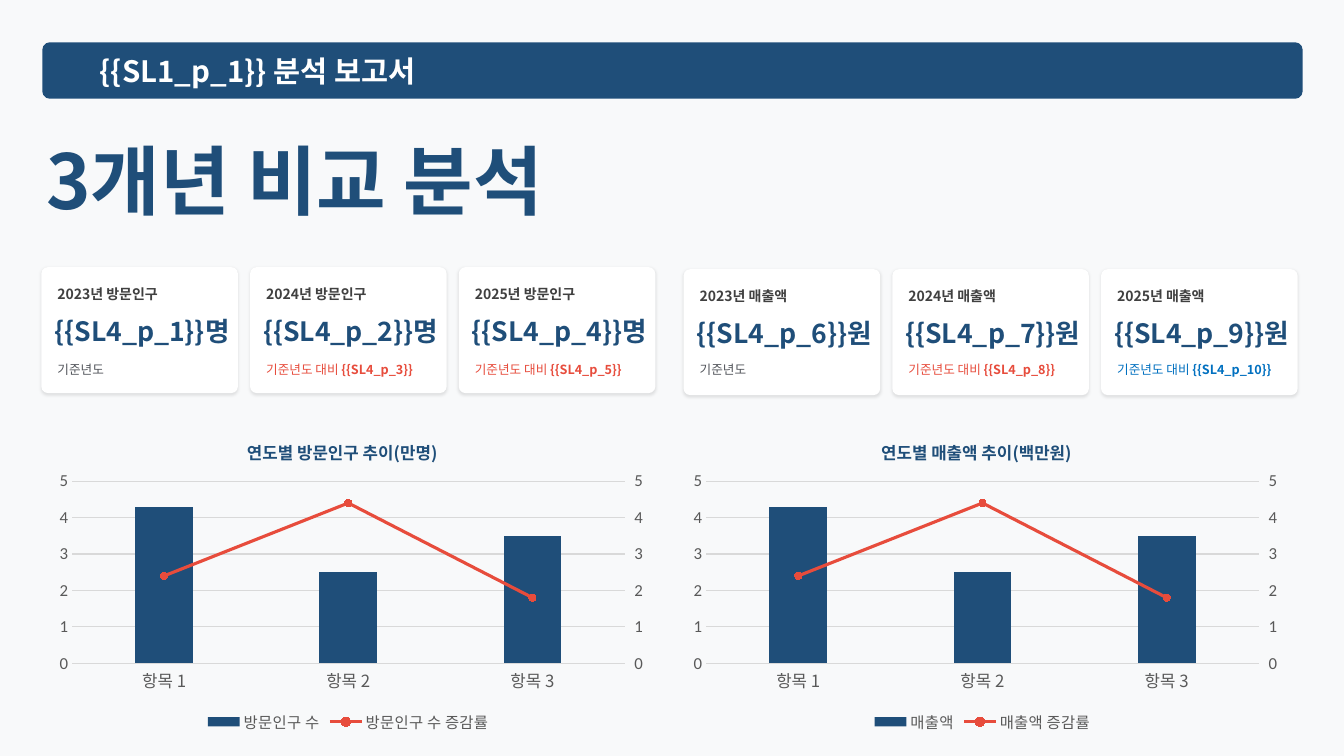
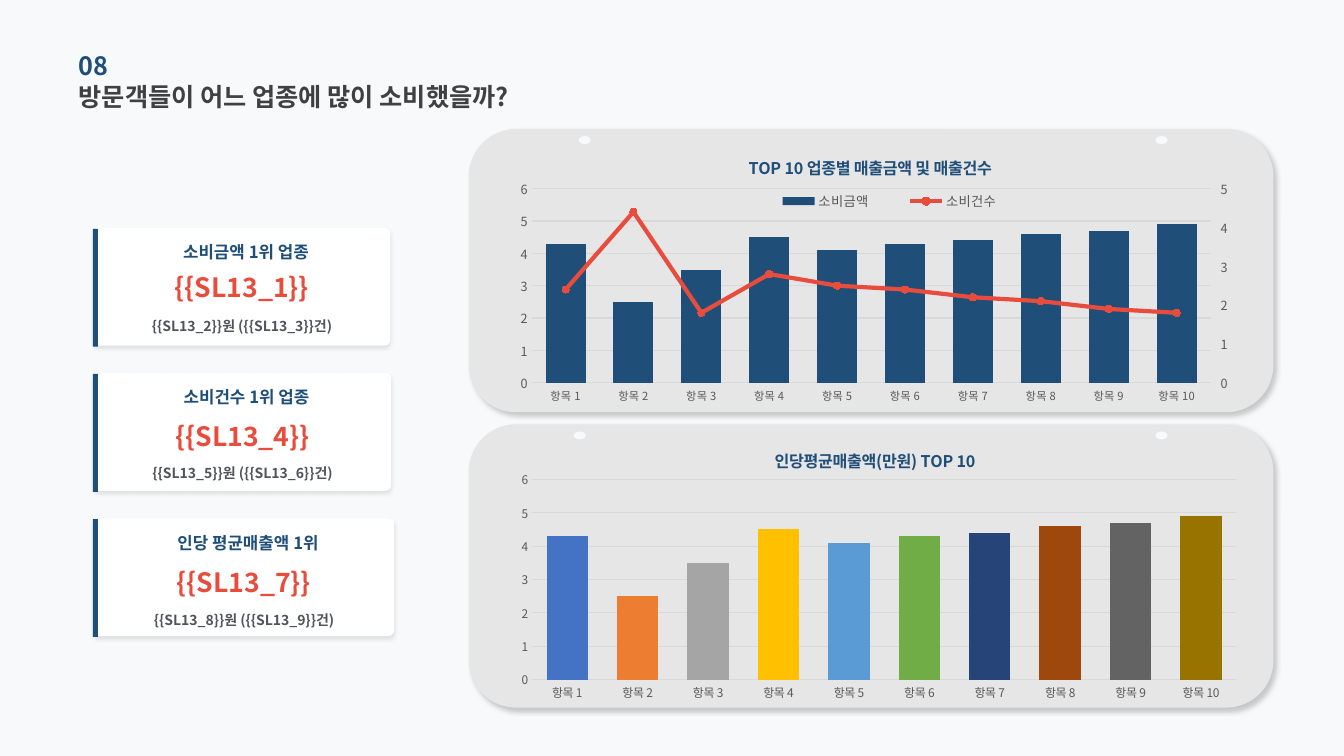
from copy import deepcopy

from pptx import Presentation
from pptx.chart.data import CategoryChartData
from pptx.dml.color import RGBColor
from pptx.enum.chart import XL_CHART_TYPE, XL_LEGEND_POSITION, XL_MARKER_STYLE, XL_TICK_MARK
from pptx.enum.shapes import MSO_SHAPE
from pptx.enum.text import MSO_ANCHOR, PP_ALIGN
from pptx.oxml import parse_xml
from pptx.oxml.ns import nsdecls, qn
from pptx.util import Inches, Pt

COLORS = {
    "page": "F8F9FA", "navy": "1F4E79", "red": "E74C3C", "blue": "0070C0",
    "dark": "404040", "gray": "51545A", "axis": "595959", "grid": "D9D9D9",
    "panel": "E7E6E6", "white": "FFFFFF",
}
CATEGORY_COLORS = ["4472C4", "ED7D31", "A5A5A5", "FFC000", "5B9BD5",
                   "70AD47", "264478", "9E480E", "636363", "997300"]
FONT = "Noto Sans CJK KR"
NUMBER_FONT = "Calibri"
CARD_SHADOW = (10, 2, 1, 90)
RANK_SHADOW = (10, 3, 2, 90)
PANEL_SHADOW = (20, 4, 3, 45)


def rgb(color):
    return RGBColor.from_string(COLORS.get(color, color))


def style_font(font, size, color, bold=False, name=FONT):
    """Set Latin and East Asian typeface together with size and colour."""
    font.size, font.bold, font.name = Pt(size), bold, name
    font.color.rgb = rgb(color)
    font._rPr.append(parse_xml(f'<a:ea {nsdecls("a")} typeface="{FONT}"/>'))


def add_text(shapes, box, runs, size, color, align=PP_ALIGN.LEFT):
    """Add one line of (text, bold) runs, centred vertically in box."""
    frame = shapes.add_textbox(*map(Inches, box)).text_frame
    frame.word_wrap = True
    frame.vertical_anchor = MSO_ANCHOR.MIDDLE
    frame.margin_left = frame.margin_right = frame.margin_top = frame.margin_bottom = 0
    paragraph = frame.paragraphs[0]
    paragraph.alignment = align
    for text, bold in runs:
        run = paragraph.add_run()
        run.text = text
        style_font(run.font, size, color, bold)


def add_block(shapes, kind, box, color, radius=None, shadow=None):
    """Add a filled shape; shadow is (opacity %, blur pt, distance pt, angle)."""
    block = shapes.add_shape(kind, *map(Inches, box))
    block.fill.solid()
    block.fill.fore_color.rgb = rgb(color)
    block.line.fill.background()
    block.shadow.inherit = False
    if radius is not None:
        block.adjustments[0] = radius
    if shadow:
        opacity, blur, distance, angle = shadow
        effects = block._element.spPr.find(qn("a:effectLst"))
        effects.append(parse_xml(
            f'<a:outerShdw {nsdecls("a")} blurRad="{Pt(blur)}" dist="{Pt(distance)}" '
            f'dir="{angle * 60000}" algn="tl" rotWithShape="0"><a:srgbClr val="000000">'
            f'<a:alpha val="{opacity * 1000}"/></a:srgbClr></a:outerShdw>'))


def remove_children(parent, tag):
    for child in parent.findall(qn(tag)):
        parent.remove(child)


def set_layout(parent, index, fractions, inner=False):
    """Place a chart part by (x, y) or (x, y, w, h) as fractions of the chart."""
    remove_children(parent, "c:layout")
    target = '<c:layoutTarget val="inner"/>' if inner else ""
    modes = '<c:xMode val="edge"/><c:yMode val="edge"/>'
    sizes = "".join(f'<c:{key} val="{value}"/>' for key, value in zip("xywh", fractions))
    parent.insert(index, parse_xml(
        f'<c:layout {nsdecls("c")}><c:manualLayout>{target}{modes}{sizes}'
        '</c:manualLayout></c:layout>'))


def style_axes(chart, maximum, category_size, value_size, value_font):
    category, value = chart.category_axis, chart.value_axis
    category.major_tick_mark = value.major_tick_mark = XL_TICK_MARK.NONE
    category.format.line.color.rgb = rgb("grid")
    category.format.line.width = Pt(0.75)
    value.format.line.fill.background()
    value.minimum_scale, value.maximum_scale, value.major_unit = 0, maximum, 1
    value.major_gridlines.format.line.color.rgb = rgb("grid")
    value.major_gridlines.format.line.width = Pt(0.75)
    value.tick_labels.number_format = "#,##0"
    value.tick_labels.number_format_is_linked = False
    style_font(category.tick_labels.font, category_size, "axis")
    style_font(value.tick_labels.font, value_size, "axis", name=value_font)


def move_to_right_axis(chart, maximum, line_width):
    """Turn the second column series into a line on its own right axis."""
    plot_area = chart._chartSpace.chart.plotArea
    columns = plot_area.find(qn("c:barChart"))
    rate = columns.findall(qn("c:ser"))[1]
    remove_children(rate, "c:invertIfNegative")
    lines = parse_xml(
        f'<c:lineChart {nsdecls("c")}><c:grouping val="standard"/><c:varyColors val="0"/>'
        '<c:marker val="1"/><c:axId val="5001"/><c:axId val="5002"/></c:lineChart>')
    lines.insert(2, rate)
    columns.addnext(lines)

    left = plot_area.find(qn("c:valAx"))
    right = deepcopy(left)
    hidden = deepcopy(plot_area.find(qn("c:catAx")))
    left.addnext(right)
    right.addnext(hidden)
    remove_children(right, "c:majorGridlines")
    changes = [
        (right, "axId", "5002"), (right, "crossAx", "5001"), (right, "axPos", "r"),
        (right, "crosses", "max"), (right, "majorTickMark", "out"),
        (hidden, "axId", "5001"), (hidden, "crossAx", "5002"), (hidden, "delete", "1"),
    ]
    for axis, tag, setting in changes:
        axis.find(qn(f"c:{tag}")).set("val", setting)
    right.find(qn("c:scaling")).find(qn("c:max")).set("val", str(maximum))

    series = chart.plots[1].series[0]
    series.smooth = False
    series.format.line.color.rgb = rgb("red")
    series.format.line.width = Pt(line_width)
    series.marker.style, series.marker.size = XL_MARKER_STYLE.CIRCLE, 5
    series.marker.format.fill.solid()
    series.marker.format.fill.fore_color.rgb = rgb("red")
    series.marker.format.line.color.rgb = rgb("red")


def add_column_chart(slide, box, title, title_size, title_left, series, plot, gap,
                     maximum, category_size, value_size, value_font=FONT):
    data = CategoryChartData()
    data.categories = [f"항목 {n + 1}" for n in range(len(series[0][1]))]
    for name, values in series:
        data.add_series(name, values)
    chart = slide.shapes.add_chart(
        XL_CHART_TYPE.COLUMN_CLUSTERED, *map(Inches, box), data).chart
    chart.font.size, chart.font.name = Pt(10), NUMBER_FONT
    chart.has_legend = False
    chart.has_title = True
    heading = chart.chart_title.text_frame.paragraphs[0].add_run()
    heading.text = title
    style_font(heading.font, title_size, "navy", True)
    set_layout(chart.chart_title._element, 1, (title_left, 0.055))
    set_layout(chart._chartSpace.chart.plotArea, 0, plot, inner=True)
    style_axes(chart, maximum, category_size, value_size, value_font)
    columns = chart.plots[0]
    columns.gap_width = gap
    columns.vary_by_categories = False
    columns.series[0].format.fill.solid()
    columns.series[0].format.fill.fore_color.rgb = rgb("navy")
    return chart


def add_legend(chart, position, size):
    chart.has_legend = True
    chart.legend.position = position
    chart.legend.include_in_layout = False
    style_font(chart.legend.font, size, "axis")


def add_metric_card(slide, left, top, label, label_width, amount, note, note_top):
    """Card with a year label, a large amount and a (text, field, colour) note."""
    shapes = slide.shapes
    add_block(shapes, MSO_SHAPE.ROUNDED_RECTANGLE, (left, top, 1.95, 1.25),
              "white", 0.053, CARD_SHADOW)
    add_text(shapes, (left + 0.16, top + 0.18, label_width, 0.18), [(label, True)], 10, "dark")
    add_text(shapes, (left + 0.13, top + 0.49, 2, 0.29), [(amount, True)], 19, "navy")
    text, field, color = note
    runs = [(text, False)] + ([(field, True)] if field else [])
    add_text(shapes, (left + 0.16, top + note_top, 1.85, 0.21), runs, 9, color)


def build_comparison_slide(prs):
    slide = prs.slides.add_slide(prs.slide_layouts[6])
    base = ("기준년도", "", "gray")
    versus = "기준년도 대비 "
    card_groups = [
        (0.41, 2.65, 0.91, [
            ("2023년 방문인구", 1.12, "{{SL4_p_1}}명", base),
            ("2024년 방문인구", 1.12, "{{SL4_p_2}}명", (versus, "{{SL4_p_3}}", "red")),
            ("2025년 방문인구", 1.03, "{{SL4_p_4}}명", (versus, "{{SL4_p_5}}", "red"))]),
        (6.78, 2.67, 0.89, [
            ("2023년 매출액", 1.12, "{{SL4_p_6}}원", base),
            ("2024년 매출액", 1.12, "{{SL4_p_7}}원", (versus, "{{SL4_p_8}}", "red")),
            ("2025년 매출액", 1.12, "{{SL4_p_9}}원", (versus, "{{SL4_p_10}}", "blue"))]),
    ]
    for left, top, note_top, cards in card_groups:
        for column, card in enumerate(cards):
            add_metric_card(slide, left + 2.07 * column, top, *card, note_top)

    add_block(slide.shapes, MSO_SHAPE.ROUNDED_RECTANGLE, (0.42, 0.42, 12.5, 0.56), "navy", 0.132)
    add_text(slide.shapes, (0.99, 0.49, 11.35, 0.43),
             [("{{SL1_p_1}} 분석 보고서", True)], 21, "white")
    add_text(slide.shapes, (0.46, 1.23, 6.32, 1.09), [("3개년 비교 분석", True)], 54, "navy")

    trends = [(0.41, "연도별 방문인구 추이(만명)", "방문인구 수"),
              (6.7, "연도별 매출액 추이(백만원)", "매출액")]
    for left, title, measure in trends:
        chart = add_column_chart(
            slide, (left, 4.14, 6.09, 3.17), title, 12, 0.33,
            [(measure, [4.3, 2.5, 3.5]), (f"{measure} 증감률", [2.4, 4.4, 1.8])],
            (0.05, 0.2, 0.9, 0.57), 219, 5, 12, 12, NUMBER_FONT)
        move_to_right_axis(chart, 5, 2.25)
        add_legend(chart, XL_LEGEND_POSITION.BOTTOM, 11)


def add_rank_card(slide, left, top, width, heading, leader, detail, leader_top, detail_top):
    """Grouped card for a first-ranked business type, with an accent bar."""
    shapes = slide.shapes.add_group_shape().shapes
    add_block(shapes, MSO_SHAPE.ROUNDED_RECTANGLE, (left, top, width, 1.17),
              "white", 0.048, RANK_SHADOW)
    lines = [(0.04, 0.13, 0.22, heading, 12, "navy"),
             (0, leader_top, 0.34, leader, 19, "red"),
             (0, detail_top, 0.17, detail, 10, "gray")]
    for shift, offset, height, text, size, color in lines:
        add_text(shapes, (left + shift, top + offset, width, height),
                 [(text, True)], size, color, PP_ALIGN.CENTER)
    add_block(slide.shapes, MSO_SHAPE.RECTANGLE, (left - 0.01, top + 0.01, 0.05, 1.17), "navy")


def build_spending_slide(prs):
    slide = prs.slides.add_slide(prs.slide_layouts[6])
    panel_left, panel_tops = 4.65, (1.28, 4.21)
    for top in panel_tops:
        add_block(slide.shapes, MSO_SHAPE.ROUNDED_RECTANGLE, (panel_left, top, 7.98, 2.81),
                  "panel", shadow=PANEL_SHADOW)
    add_text(slide.shapes, (0.78, 0.75, 4.52, 0.41),
             [("방문객들이 어느 업종에 많이 소비했을까?", True)], 18, "dark")
    add_text(slide.shapes, (0.78, 0.44, 4.52, 0.41), [("08", True)], 18, "navy")

    ranks = [
        (2.94, "소비금액 1위 업종", "{{SL13_1}}", "{{SL13_2}}원 ({{SL13_3}}건)", 0.42, 0.89),
        (2.95, "소비건수 1위 업종", "{{SL13_4}}", "{{SL13_5}}원 ({{SL13_6}}건)", 0.45, 0.91),
        (2.98, "인당 평균매출액 1위", "{{SL13_7}}", "{{SL13_8}}원 ({{SL13_9}}건)", 0.46, 0.93),
    ]
    for row, rank in enumerate(ranks):
        add_rank_card(slide, 0.93, 2.26 + 1.44 * row, *rank)

    amounts = [4.3, 2.5, 3.5, 4.5, 4.1, 4.3, 4.4, 4.6, 4.7, 4.9]
    counts = [2.4, 4.4, 1.8, 2.8, 2.5, 2.4, 2.2, 2.1, 1.9, 1.8]
    sales = add_column_chart(
        slide, (4.98, 1.35, 7.32, 2.75), "TOP 10 업종별 매출금액 및 매출건수", 11.5, 0.33,
        [("소비금액", amounts), ("소비건수", counts)],
        (0.04, 0.19, 0.92, 0.7), 70, 6, 8, 9)
    move_to_right_axis(sales, 5, 3)
    add_legend(sales, XL_LEGEND_POSITION.TOP, 9.5)
    set_layout(sales.legend._element, 1, (0.33, 0.19, 0.39, 0.09))

    average = add_column_chart(
        slide, (4.98, 4.26, 7.43, 2.76), "인당평균매출액(만원) TOP 10", 11.5, 0.36,
        [("Series 1", amounts)], (0.04, 0.18, 0.94, 0.72), 70, 6, 8.5, 8.5)
    for index, color in enumerate(CATEGORY_COLORS):
        fill = average.plots[0].series[0].points[index].format.fill
        fill.solid()
        fill.fore_color.rgb = rgb(color)

    for top, hole_lefts in zip(panel_tops, ((1.09, 6.81), (1.04, 6.81))):
        for offset in hole_lefts:
            add_block(slide.shapes, MSO_SHAPE.OVAL,
                      (panel_left + offset, top + 0.07, 0.12, 0.08), "page")


def main():
    prs = Presentation()
    prs.slide_width, prs.slide_height = Inches(13.33), Inches(7.5)
    backdrop = prs.slide_master.background.fill
    backdrop.solid()
    backdrop.fore_color.rgb = rgb("page")
    build_comparison_slide(prs)
    build_spending_slide(prs)
    prs.save("out.pptx")


if __name__ == "__main__":
    main()
